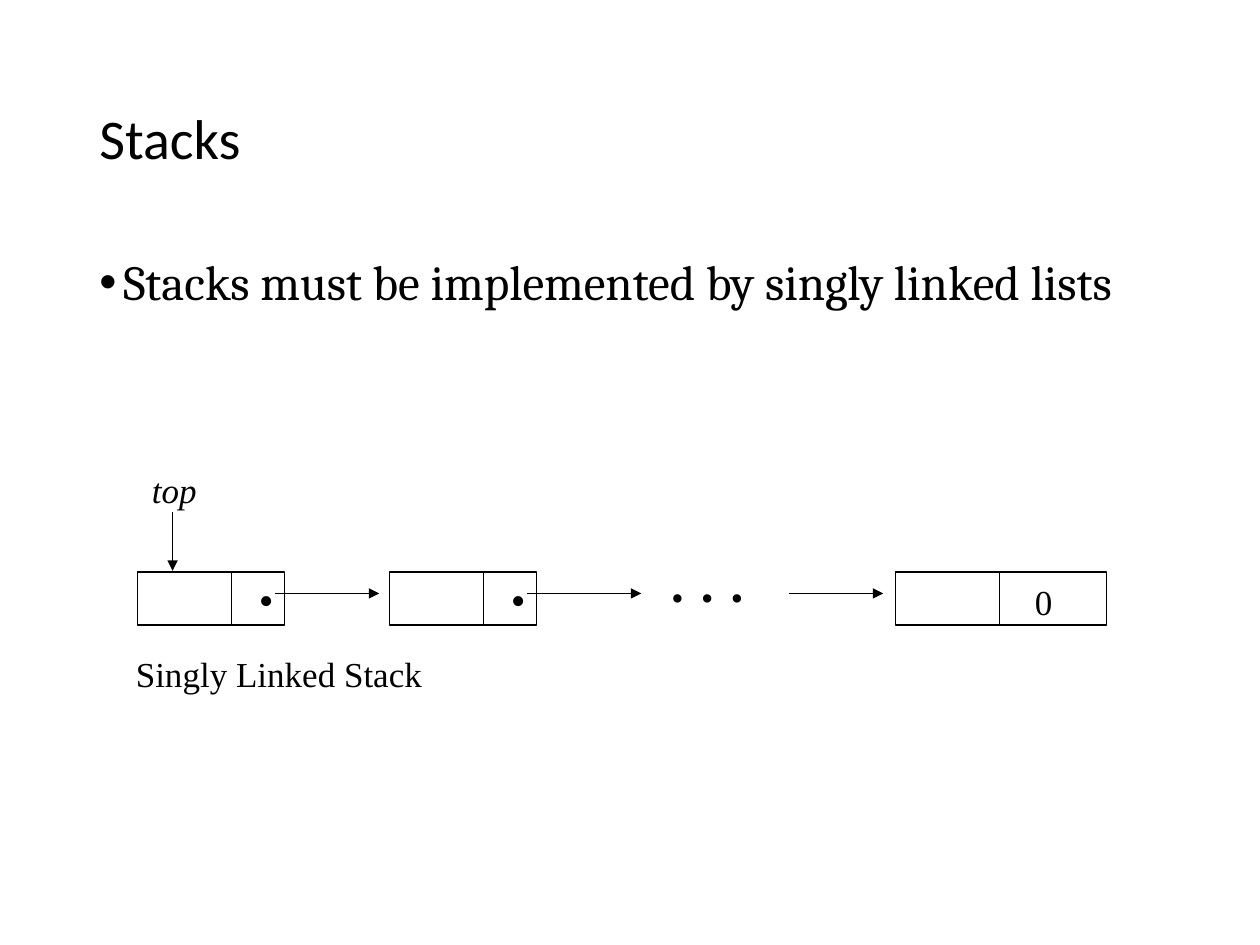
from lxml.etree import SubElement
from pptx import Presentation
from pptx.dml.color import RGBColor
from pptx.enum.shapes import MSO_CONNECTOR as Connector, MSO_SHAPE as Shape
from pptx.enum.text import MSO_ANCHOR as Anchor, PP_ALIGN as Align
from pptx.oxml.ns import qn
from pptx.util import Inches, Pt

BLACK = RGBColor(0, 0, 0)
LINE_WIDTH = Pt(0.75)
NODE_TOP = 4.54
NODE_HEIGHT = 0.42
LINK_Y = 4.71


class StackSlide:
    def __init__(self, slide, font="Times New Roman", size=20):
        self.slide = slide
        self.font = font
        self.size = size

    def text(self, text, left, top, width, height, font=None, size=None,
             align=Align.LEFT, anchor=Anchor.TOP, italic=False):
        shape = self.slide.shapes.add_textbox(
            Inches(left), Inches(top), Inches(width), Inches(height))
        frame = shape.text_frame
        frame.word_wrap = True
        frame.vertical_anchor = anchor
        paragraph = frame.paragraphs[0]
        paragraph.text = text
        paragraph.alignment = align
        paragraph.font.name = font or self.font
        paragraph.font.size = Pt(size or self.size)
        paragraph.font.italic = italic
        paragraph.font.color.rgb = BLACK
        return paragraph

    def bullet(self, text, left, top, width, height, font, size):
        paragraph = self.text(text, left, top, width, height, font, size)
        paragraph.line_spacing = 0.9
        paragraph.space_before = Pt(7.5)
        properties = paragraph._p.get_or_add_pPr()
        indent = Inches(0.19)
        properties.set("marL", str(indent))
        properties.set("indent", str(-indent))
        marker_font = SubElement(properties, qn("a:buFont"))
        marker_font.set("typeface", "Arial")
        SubElement(properties, qn("a:buChar")).set("char", "•")
        properties.append(properties.find(qn("a:defRPr")))

    def spaced_text(self, text, left, top, width, height, spacing):
        paragraph = self.text(text, left, top, width, height)
        properties = paragraph.runs[0]._r.get_or_add_rPr()
        properties.set("spc", str(int(spacing * 100)))

    def line(self, start, end, arrow=False):
        points = [Inches(value) for value in (*start, *end)]
        connector = self.slide.shapes.add_connector(Connector.STRAIGHT, *points)
        connector.line.color.rgb = BLACK
        connector.line.width = LINE_WIDTH
        if arrow:
            outline = connector.line._get_or_add_ln()
            SubElement(outline, qn("a:tailEnd")).set("type", "triangle")
        SubElement(connector._element.spPr, qn("a:effectLst"))

    def node(self, left, width, divider):
        shape = self.slide.shapes.add_shape(
            Shape.RECTANGLE, Inches(left), Inches(NODE_TOP),
            Inches(width), Inches(NODE_HEIGHT))
        shape.shadow.inherit = False
        shape.fill.background()
        shape.line.color.rgb = BLACK
        shape.line.width = LINE_WIDTH
        x = left + divider
        self.line((x, NODE_TOP), (x, NODE_TOP + NODE_HEIGHT))

    def link(self, start, end):
        self.line((start, LINK_Y), (end, LINK_Y), arrow=True)


def main():
    presentation = Presentation()
    presentation.slide_width = Inches(10)
    presentation.slide_height = Inches(7.5)
    slide = StackSlide(
        presentation.slides.add_slide(presentation.slide_layouts[6]))

    title = slide.text("Stacks", 0.69, 0.4, 8.62, 1.45, "Calibri", 32,
                       anchor=Anchor.MIDDLE)
    title.line_spacing = 0.9
    slide.bullet("Stacks must be implemented by singly linked lists",
                 0.69, 2, 8.62, 4.76, "Cambria", 28)

    for left, link_end in ((1.09, 3.01), (3.09, 5.09)):
        slide.node(left, 1.17, 0.75)
        slide.text("•", left - 0.01, 4.5, 1.19, 0.5, size=24, align=Align.RIGHT)
        slide.link(left + 1.09, link_end)

    slide.spaced_text("• • •", 5.23, 4.52, 0.9, 0.43, 2.5)
    slide.link(6.26, 7.01)
    slide.node(7.11, 1.67, 0.82)
    slide.text("0", 6.99, 4.56, 1.46, 0.44, align=Align.RIGHT)

    slide.text("top", 1.03, 3.67, 0.63, 0.43, align=Align.RIGHT, italic=True)
    slide.line((1.37, 4.06), (1.37, 4.53), arrow=True)
    slide.text("Singly Linked Stack", 0.98, 5.13, 2.6, 0.44)
    presentation.save("out.pptx")


if __name__ == "__main__":
    main()
